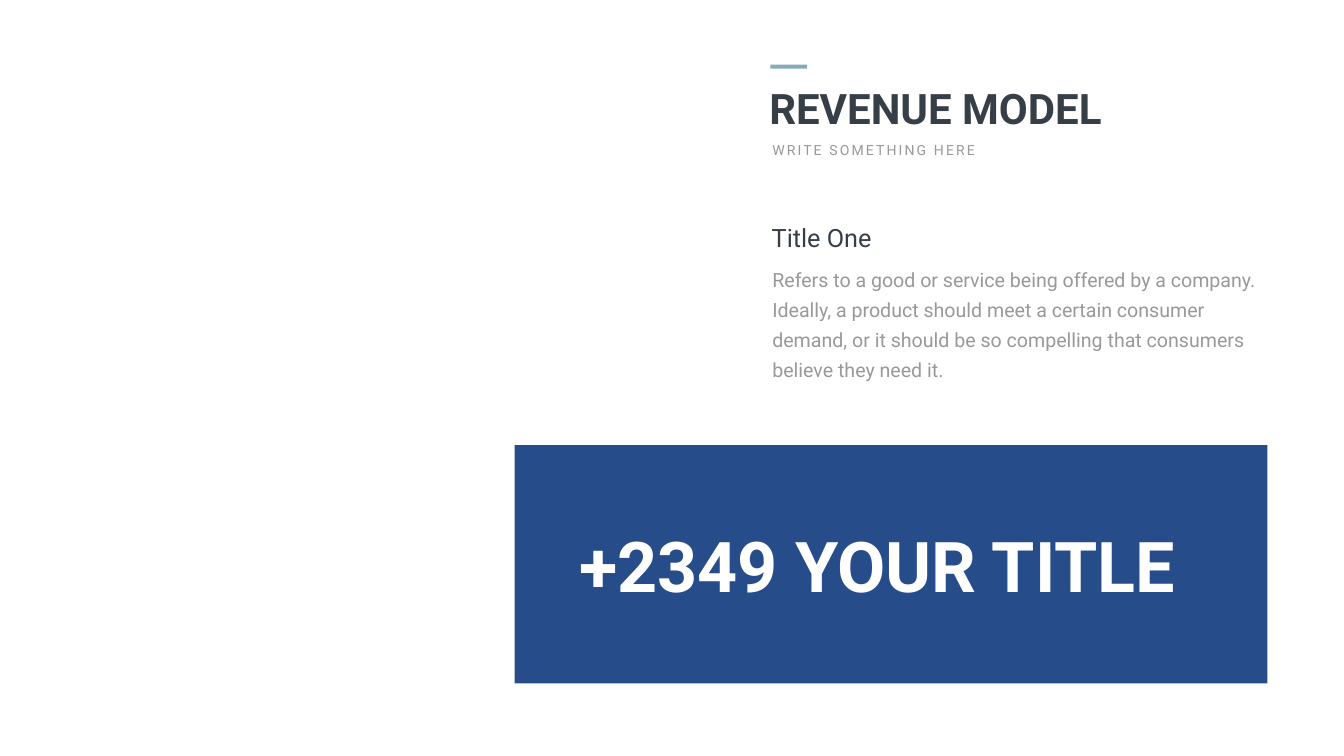
from pptx import Presentation
from pptx.dml.color import RGBColor
from pptx.enum.shapes import MSO_SHAPE
from pptx.enum.text import MSO_ANCHOR, MSO_AUTO_SIZE, PP_ALIGN
from pptx.util import Inches, Pt

RECT = MSO_SHAPE.RECTANGLE
TOP = MSO_ANCHOR.TOP
NO_FIT = MSO_AUTO_SIZE.NONE
LEFT, CENTER = PP_ALIGN.LEFT, PP_ALIGN.CENTER

FONT = "Roboto"
TITLE_ONLY = 5
COLORS = {
    "dark": "363E48",
    "grey": "999999",
    "accent": "84ACB6",
    "blue": "264D89",
    "white": "FFFFFF",
}

# Content: text, box (left, top, width, height), format
TITLE = ("REVENUE MODEL", (15.16, 1.59, 10.31, 1.11),
         dict(size=60, color="dark", bold=True))
BARS = [
    ((15.28, 1.28, 0.73, 0.08), "accent"),
    ((10.21, 8.83, 14.93, 4.73), "blue"),
]
TEXTS = [
    ("WRITE SOMETHING HERE", (15.22, 2.75, 4.35, 0.44),
     dict(size=20, color="grey", spacing=3, wrap=False)),
    ("Title One", (15.21, 4.36, 5.41, 0.71), dict(size=36, color="dark")),
    ("Refers to a good or service being offered by a company. Ideally, "
     "a product should meet a certain consumer demand, or it should be so "
     "compelling that consumers believe they need it.",
     (15.08, 5.06, 10.31, 2.6),
     dict(size=28, color="grey", line=43, inset=(0.24, 0.12))),
    ("+2349 YOUR TITLE", (11.32, 10.31, 12.16, 1.78),
     dict(size=100, color="white", bold=True, align=CENTER, wrap=False)),
]


def rgb(name):
    return RGBColor.from_string(COLORS[name])


def write(sp, text, size, color, bold=False, align=LEFT, wrap=True,
          spacing=None, line=None, inset=(0.1, 0.05)):
    tf = sp.text_frame
    tf.word_wrap = wrap
    tf.auto_size = NO_FIT
    tf.vertical_anchor = TOP
    tf.margin_left = tf.margin_right = Inches(inset[0])
    tf.margin_top = tf.margin_bottom = Inches(inset[1])
    p = tf.paragraphs[0]
    p.alignment = align
    if line:
        p.line_spacing = Pt(line)
    r = p.add_run()
    r.text = text
    r.font.name = FONT
    r.font.size = Pt(size)
    r.font.bold = bold
    r.font.color.rgb = rgb(color)
    if spacing:
        r.font._element.set("spc", str(spacing * 100))


prs = Presentation()
prs.slide_width, prs.slide_height = Inches(26.66), Inches(15)
s = prs.slides.add_slide(prs.slide_layouts[TITLE_ONLY])

# Title
text, box, fmt = TITLE
title = s.shapes.title
title.left, title.top, title.width, title.height = map(Inches, box)
write(title, text, **fmt)

# Accent bar and blue panel
for box, color in BARS:
    sp = s.shapes.add_shape(RECT, *map(Inches, box))
    sp.shadow.inherit = False
    sp.fill.solid()
    sp.fill.fore_color.rgb = rgb(color)
    sp.line.fill.background()

# Subtitle, body and panel text
for text, box, fmt in TEXTS:
    write(s.shapes.add_textbox(*map(Inches, box)), text, **fmt)

prs.save("out.pptx")
